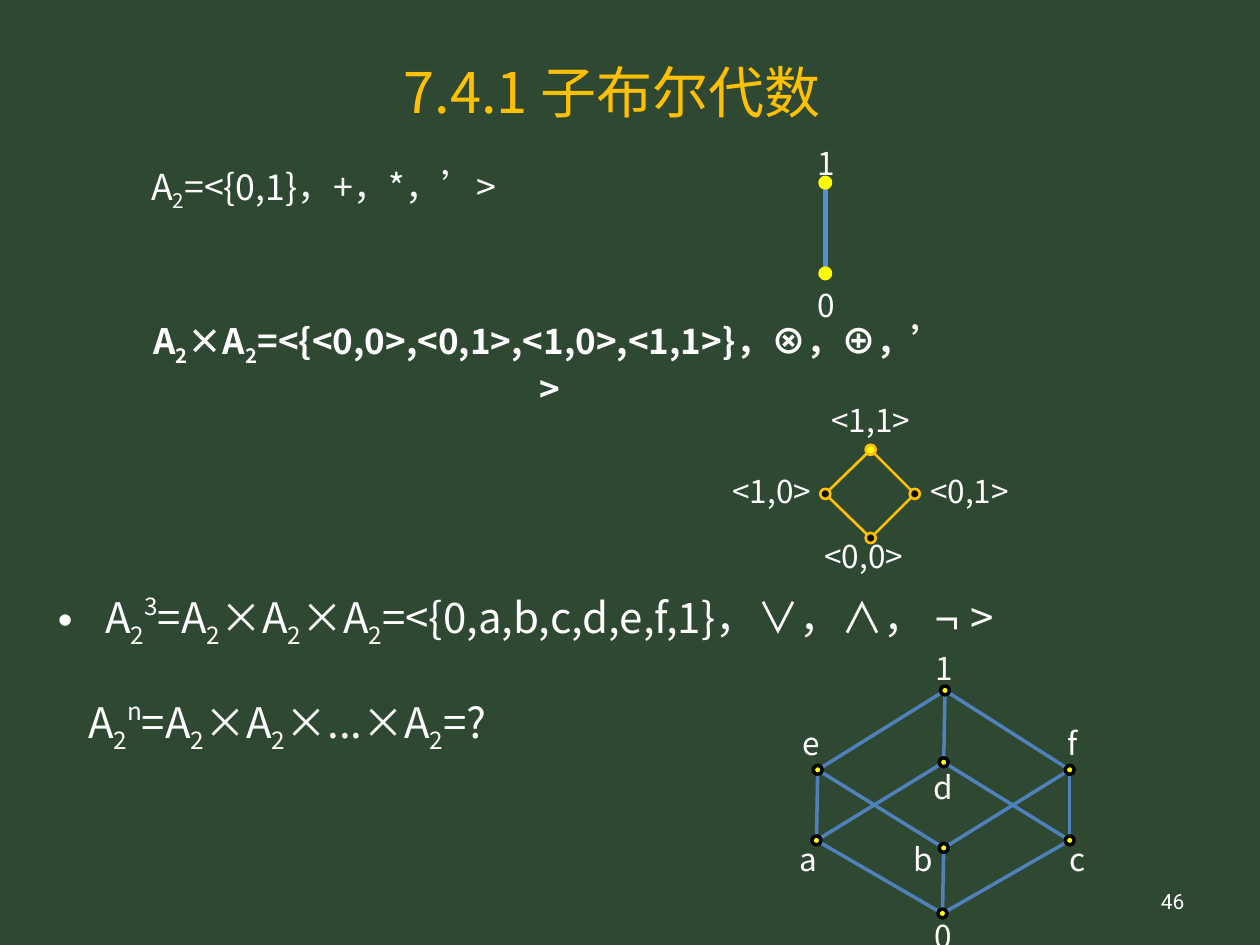
from lxml import etree
from pptx import Presentation
from pptx.dml.color import RGBColor
from pptx.enum.shapes import MSO_CONNECTOR, MSO_SHAPE
from pptx.enum.text import MSO_ANCHOR, MSO_AUTO_SIZE, PP_ALIGN
from pptx.oxml.ns import qn
from pptx.util import Pt

STRAIGHT = MSO_CONNECTOR.STRAIGHT
OVAL = MSO_SHAPE.OVAL
TOP, MIDDLE = MSO_ANCHOR.TOP, MSO_ANCHOR.MIDDLE
LEFT, CENTER, RIGHT = PP_ALIGN.LEFT, PP_ALIGN.CENTER, PP_ALIGN.RIGHT
NO_FIT = MSO_AUTO_SIZE.NONE

PX = 9144
CJK = "Noto Sans CJK SC"
WHITE, YELLOW, GOLD = "FFFFFF", "FFFF00", "FFC000"
SUB, SUPER = -25000, 44000
A2 = ["A", ("2", SUB)]


def px(*lengths):
    return [length * PX for length in lengths]


def rgb(value):
    return RGBColor.from_string(value)


def write(shape, parts, size, color=WHITE, align=LEFT, anchor=TOP,
          bold=False, face=CJK):
    frame = shape.text_frame
    frame.word_wrap = True
    frame.auto_size = NO_FIT
    frame.vertical_anchor = anchor
    paragraph = frame.paragraphs[0]
    paragraph.alignment = align
    paragraph.space_before = Pt(0)
    font = paragraph.font
    font.size, font.bold, font.name = Pt(size), bold, face
    font.color.rgb = rgb(color)
    defaults = paragraph._p.pPr.find(qn("a:defRPr"))
    etree.SubElement(defaults, qn("a:ea")).set("typeface", face)
    for part in parts:
        text, style = part if isinstance(part, tuple) else (part, None)
        run = paragraph.add_run()
        run.text = text
        if isinstance(style, int):
            run._r.get_or_add_rPr().set("baseline", str(style))
        elif style:
            run.font.name = style
    return paragraph


def add_text(slide, box, parts, size, **options):
    return write(slide.shapes.add_textbox(*px(*box)), parts, size, **options)


def add_edge(slide, start, end, color, weight):
    edge = slide.shapes.add_connector(STRAIGHT, *px(*start, *end))
    edge.line.color.rgb = rgb(color)
    edge.line.width = Pt(weight)
    etree.SubElement(edge._element.spPr, qn("a:effectLst"))


def add_node(slide, center, size, fill, outline, weight):
    x, y = center
    node = slide.shapes.add_shape(
        OVAL, *px(x - size / 2, y - size / 2, size, size))
    node.shadow.inherit = False
    node.fill.solid()
    node.fill.fore_color.rgb = rgb(fill)
    node.line.color.rgb = rgb(outline)
    node.line.width = Pt(weight)


def add_hasse(slide, left, top, points, edges, labels, edge_style, node_style,
              fills):
    placed = {name: (left + x, top + y) for name, (x, y) in points.items()}
    for start, end in edges:
        add_edge(slide, placed[start], placed[end], *edge_style)
    for name, (x, y, width, height) in labels.items():
        add_text(slide, (left + x, top + y, width, height), [name], 18,
                 align=CENTER)
    size, outline, weight = node_style
    for name, center in placed.items():
        add_node(slide, center, size, fills.get(name, fills["other"]),
                 outline, weight)


def add_chain(slide, left, top):
    add_hasse(
        slide, left, top,
        {"1": (27, 36), "0": (27, 108)},
        [("1", "0")],
        {"1": (0, 0, 55, 40), "0": (8, 113, 39, 40)},
        ("558ED5", 3), (8, YELLOW, 2.25), {"other": YELLOW})


def add_diamond(slide, left, top):
    upper, lower, near, far = "<1,1>", "<0,0>", "<1,0>", "<0,1>"
    add_hasse(
        slide, left, top,
        {upper: (122, 44), far: (157, 79), lower: (122, 114), near: (86, 79)},
        [(end, side) for end in (upper, lower) for side in (near, far)],
        {lower: (69, 108, 95, 70), upper: (71, 0, 102, 40),
         far: (153, 57, 95, 70), near: (0, 57, 87, 70)},
        (GOLD, 1.5), (8, GOLD, 1.5), {"other": "0D0D0D", upper: YELLOW})


def add_cube(slide, left, top):
    add_hasse(
        slide, left, top,
        {"1": (140, 38), "e": (39, 101), "d": (139, 95), "f": (239, 101),
         "a": (38, 157), "b": (139, 163), "c": (239, 157), "0": (138, 215)},
        ["1e", "1d", "1f", "ea", "eb", "da", "dc", "fb", "fc",
         "a0", "b0", "c0"],
        {"1": (88, 0, 102, 40), "0": (108, 213, 61, 40),
         "d": (105, 95, 67, 40), "e": (0, 60, 67, 40), "f": (204, 60, 74, 40),
         "a": (8, 152, 47, 40), "b": (99, 152, 47, 40),
         "c": (222, 152, 47, 40)},
        ("4F81BD", 2), (7, "000000", 2), {"other": YELLOW})


def place(shape, box):
    shape.left, shape.top, shape.width, shape.height = px(*box)
    return shape


def add_formulas(slide, left, top):
    two = add_text(slide, (left + 74, top, 362, 63),
                   A2 + ["=<{0,1}，+，*，’>"], 20.4)
    two.line_spacing = 0.9
    add_text(slide, (left + 66, top + 136, 669, 55),
             A2 + ["×"] + A2 + ["=<{<0,0>,<0,1>,<1,0>,<1,1>}，",
                                ("⊗", "Arial"), "，⊕，’ >"],
             20, align=CENTER, anchor=MIDDLE, bold=True)
    cube = place(slide.placeholders[1], (left, top + 338, 900, 63))
    write(cube,
          A2 + [("3", SUPER), "="] + A2 + ["×"] + A2 + ["×"] + A2
          + ["=<{0,a,b,c,d,e,f,1}，∨，∧， ", ("¬ ", "Arial"), ">"], 24)
    add_text(slide, (left + 24, top + 422, 362, 55),
             A2 + [("n", SUPER), "="] + A2 + ["×"] + A2 + ["×...×"] + A2
             + ["=?"], 24, anchor=MIDDLE)


def main():
    deck = Presentation()
    deck.slide_width, deck.slide_height = px(1000, 750)
    slide = deck.slides.add_slide(deck.slide_layouts[1])
    slide.background.fill.solid()
    slide.background.fill.fore_color.rgb = rgb("2F4832")
    title = place(slide.shapes.title, (60, 36, 852, 73))
    write(title, ["7.4.1 子布尔代数"], 32, color=GOLD, align=CENTER,
          anchor=MIDDLE)
    add_formulas(slide, 36, 126)
    add_chain(slide, 628, 109)
    add_diamond(slide, 569, 313)
    add_cube(slide, 610, 510)
    add_text(slide, (717, 695, 233, 40), ["46"], 12, align=RIGHT,
             anchor=MIDDLE, face="Roboto")
    deck.save("out.pptx")


if __name__ == "__main__":
    main()
